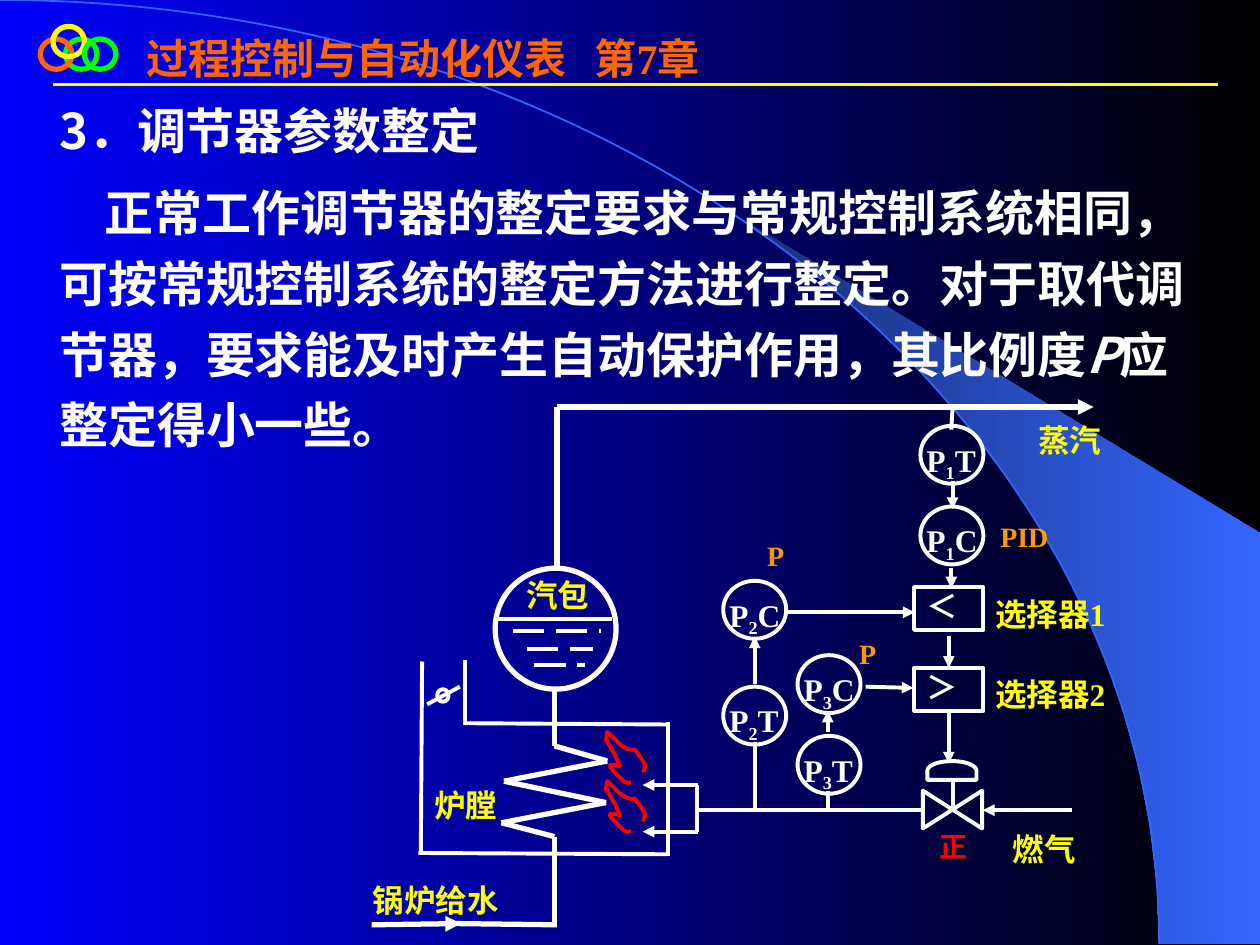
from dataclasses import dataclass
from itertools import pairwise
from math import asin, cos, pi, sin

from lxml.etree import SubElement
from pptx import Presentation
from pptx.dml.color import RGBColor
from pptx.enum.dml import MSO_LINE
from pptx.enum.shapes import MSO_CONNECTOR, MSO_SHAPE
from pptx.enum.text import MSO_ANCHOR, MSO_AUTO_SIZE, PP_ALIGN
from pptx.oxml.ns import qn
from pptx.util import Inches, Pt

WHITE = RGBColor(0xFF, 0xFF, 0xFF)
BLACK = RGBColor(0, 0, 0)
YELLOW = RGBColor(0xFF, 0xFF, 0)
GREEN = RGBColor(0, 0xFF, 0)
RED = RGBColor(0xFF, 0, 0)
ORANGE = RGBColor(0xFF, 0x66, 0)
AMBER = RGBColor(0xFF, 0x99, 0)
BLUE = RGBColor(0, 0, 0xFF)
NAVY = RGBColor(0x18, 0x2F, 0x76)
SKY = RGBColor(0x33, 0x66, 0xFF)
SERIF, SANS = "Times New Roman", "Noto Sans CJK SC"
COLS, ROWS = 100, 75
CELL = Inches(10) / COLS


@dataclass
class Box:
    """A region of the slide, measured in grid cells."""
    slide: object
    col: float
    row: float
    wide: float
    high: float

    def spot(self, x, y):
        return round((self.col + x) * CELL), round((self.row + y) * CELL)

    def frame(self, x, y, w, h):
        return *self.spot(x, y), round(w * CELL), round(h * CELL)


def blend(fill, first, last):
    fill.gradient()
    fill.gradient_angle = 0
    for stop, color in zip(fill.gradient_stops, (first, last)):
        stop.color.rgb = color


def style(para, size, color, face=SERIF):
    font = para.font
    font.size, font.bold, font.name = Pt(size), True, face
    font.color.rgb = color
    SubElement(para._p.pPr.find(qn("a:defRPr")), qn("a:ea"), typeface=SANS)


def wire(box, start, end, width=2.25, color=WHITE, arrow=False, dash=False):
    link = box.slide.shapes.add_connector(
        MSO_CONNECTOR.STRAIGHT, *box.spot(*start), *box.spot(*end))
    link.line.width = Pt(width)
    link.line.color.rgb = color
    if dash:
        link.line.dash_style = MSO_LINE.LONG_DASH
    if arrow:
        SubElement(link.line._get_or_add_ln(), qn("a:tailEnd"), type="triangle")
    SubElement(link._element.spPr, qn("a:effectLst"))


def shape(box, kind, frame, width=2.25, color=WHITE, turn=0):
    item = box.slide.shapes.add_shape(kind, *box.frame(*frame))
    item.shadow.inherit = False
    item.fill.background()
    item.line.width = Pt(width)
    item.line.color.rgb = color
    item.rotation = turn
    return item


def outline(box, points, closed=False):
    first, *rest = [box.spot(*point) for point in points]
    pen = box.slide.shapes.build_freeform(*first, scale=1.0)
    pen.add_line_segments(rest, close=closed)
    item = pen.convert_to_shape()
    item.shadow.inherit = False
    item.fill.background()
    return item


def curve(box, knots, width, color):
    """Draw cubic curves: a start, then three knots for each curve."""
    item = outline(box, knots)
    item.line.width, item.line.color.rgb = Pt(width), color
    track = next(item._element.iter(qn("a:path")))
    steps = track.findall(qn("a:lnTo"))
    for i in range(0, len(steps), 3):
        bend = SubElement(track, qn("a:cubicBezTo"))
        for step in steps[i:i + 3]:
            bend.append(step[0])
            track.remove(step)


def label(box, text, x, y, w, h=4.4, size=18, color=YELLOW):
    frame = box.slide.shapes.add_textbox(*box.frame(x, y, w, h)).text_frame
    frame.word_wrap = True
    para = frame.paragraphs[0]
    para.line_spacing = 1.2
    para.text = text
    style(para, size, color)
    return para


def gauge(box, name, x, y):
    """Draw an instrument circle whose middle character is a subscript."""
    shape(box, MSO_SHAPE.OVAL, (x, y, 5, 4.6))
    para = label(box, "", x - 0.5, y, 6.4, 3.4, color=WHITE)
    for sign in name:
        run = para.add_run()
        run.text = sign
        if sign.isdigit():
            run._r.get_or_add_rPr().set("baseline", "-25000")


def place(box, holder):
    """Fit a placeholder to the box, in front of the backdrop."""
    holder.left, holder.top, holder.width, holder.height = box.frame(
        0, 0, box.wide, box.high)
    box.slide.shapes._spTree.append(holder._element)
    frame = holder.text_frame
    frame.word_wrap = True
    frame.auto_size = MSO_AUTO_SIZE.NONE
    return frame


def backdrop(box):
    blend(box.slide.background.fill, BLUE, BLACK)
    wide, high, start, steps = 0.92 * box.wide, box.high - 0.1, asin(0.64), 14
    turns = [start + (pi / 2 - start) * i / steps for i in range(steps + 1)]
    rim = [(wide * sin(t), high * (1 - cos(t))) for t in turns]
    wing = outline(box, rim + [(box.wide, high), (box.wide, 0.565 * high)], True)
    blend(wing.fill, NAVY, SKY)
    wing.line.fill.background()
    curve(box, [(0, 0), (0.55 * wide, 0), (wide, 0.45 * high), (wide, high)], 1, SKY)


def header(box):
    wire(box, (1, 4.6), (93.5, 4.6), 1.5, YELLOW)
    for x, y, color in ((2, 1, GREEN), (0, 1, ORANGE), (1, 0, YELLOW), (3.5, 1, GREEN)):
        shape(box, MSO_SHAPE.OVAL, (x, y, 2.5, 2.4), 3, color)
    area = Box(box.slide, box.col + 7.4, box.row, 84.2, 5)
    frame = place(area, box.slide.shapes.title)
    frame.vertical_anchor = MSO_ANCHOR.TOP
    para = frame.paragraphs[0]
    para.text = "过程控制与自动化仪表\t第7章"
    tabs = SubElement(para._p.get_or_add_pPr(), qn("a:tabLst"))
    SubElement(tabs, qn("a:tab"), pos=str(Inches(3.56)), algn="l")
    para.alignment = PP_ALIGN.LEFT
    style(para, 24, ORANGE)


def body(box):
    frame = place(box, box.slide.placeholders[1])
    frame.vertical_anchor = MSO_ANCHOR.MIDDLE
    head, main = frame.paragraphs[0], frame.add_paragraph()
    head.text = "3．调节器参数整定"
    for text in ("正常工作调节器的整定要求与常规控制系统相同，可按常规控制系统的整定方法"
                 "进行整定。对于取代调节器，要求能及时产生自动保护作用，其比例度",
                 "P", "应整定得小一些。"):
        run = main.add_run()
        run.text = text
        if text == "P":
            run.font.italic = True
    for para, indent, gap in ((head, 0, 0), (main, Inches(0.36), 7)):
        props = para._p.get_or_add_pPr()
        props.set("marL", "0")
        props.set("indent", str(indent))
        SubElement(props, qn("a:buNone"))
        para.line_spacing, para.space_before = 1.2, Pt(gap)
        style(para, 28, WHITE, SANS)


def flame(box, x, y):
    knots = [(1.9, 4), (1.7, 4), (1.5, 4.1), (1.3, 3.9), (-0.5, 2.2), (0.3, 2.6),
             (1, 2.7), (0.9, 2.5), (0.8, 2.2), (0.7, 2), (0.7, 1.9), (0, 0.8),
             (-0.1, 0.6), (-0.1, 0.4), (0, 0.2), (0, 0), (0.9, 0.8), (1.3, 1.5),
             (2.2, 1.4), (2.5, 1.8), (2.8, 2.2), (3, 2.6), (3.1, 2.8), (2.8, 3),
             (2.9, 3.2)]
    curve(box, [(x + dx, y + dy) for dx, dy in knots], 2.25, RED)


def boiler(box):
    for start, end in (((5.5, 20.5), (5.4, 35.7)), ((25, 25.3), (25, 35.9)),
                       ((5.2, 35.7), (24.9, 35.8)), ((8.8, 25.4), (25, 25.5)),
                       ((8.9, 25.5), (8.9, 20.4)), ((5.9, 23.9), (8.5, 22.5)),
                       ((11.3, 17.1), (20.6, 17.1)), ((27.3, 30.3), (27.3, 34))):
        wire(box, start, end)
    for y in (30.3, 34):
        wire(box, (27.4, y), (23, y), arrow=True)
    for left, right, y in ((12.7, 19.7, 18.1), (13.8, 19.1, 19.5), (14.4, 18.4, 20.8)):
        wire(box, (left, y), (right, y), dash=True)
    coil = [(16, 22.8), (16, 27.2), (20.2, 28.4), (12, 30), (20.1, 31.7),
            (11.8, 33.3), (16, 34.4), (16, 41.3)]
    for start, end in pairwise(coil):
        wire(box, start, end, 3)
    wire(box, (16.2, 41.4), (8.2, 41.3), 3)
    wire(box, (1.5, 41.4), (8.6, 41.3), 3, arrow=True)
    wire(box, (16.2, 13.1), (16.2, 0.3), 3)
    wire(box, (16.2, 0.3), (58.8, 0.3), 3, arrow=True)
    shape(box, MSO_SHAPE.OVAL, (11.3, 13.1, 9.6, 9.6), 3)
    shape(box, MSO_SHAPE.FLOWCHART_CONNECTOR, (6.7, 22.7, 0.9, 1))
    flame(box, 20.2, 26.1)
    flame(box, 20.2, 30)
    label(box, "汽包", 12.8, 12.6, 8.8)
    label(box, "炉膛", 5.5, 29.3, 8)
    label(box, "锅炉给水", 0.6, 36.8, 14.5)


def control(box):
    for start, end in (((-1.5, 32.3), (16.4, 32.3)), ((18.6, 0.4), (18.5, 2.1)),
                       ((8.7, 30.8), (8.7, 32.2)), ((2.9, 32.3), (2.9, 26.9)),
                       ((18.6, 29.9), (18.6, 32.4))):
        wire(box, start, end)
    for start, end in (((28.1, 32.3), (21, 32.3)), ((18.3, 24.6), (18.3, 28.6)),
                       ((18.3, 18.5), (18.3, 21)), ((18.6, 6.2), (18.6, 8.4)),
                       ((18.5, 13.1), (18.5, 14.7)), ((11.7, 22.5), (15.5, 22.6)),
                       ((8.7, 26.1), (8.7, 24.4)), ((2.9, 22.3), (2.9, 18.5)),
                       ((5.3, 16.6), (15.6, 16.6))):
        wire(box, start, end, arrow=True)
    for name, x, y in (("P2C", 0.4, 14.1), ("P2T", 0.4, 22.5), ("P3C", 6.3, 20),
                       ("P3T", 6.3, 26.4), ("P1T", 16.05, 1.8), ("P1C", 16.05, 8.2)):
        gauge(box, name, x, y)
    for sign, y in (("＜", 14.6), ("＞", 21)):
        frame = shape(box, MSO_SHAPE.RECTANGLE, (15.55, y, 5.5, 3.4)).text_frame
        frame.vertical_anchor = MSO_ANCHOR.TOP
        para = frame.paragraphs[0]
        para.text, para.alignment, para.line_spacing = sign, PP_ALIGN.LEFT, 0.85
        style(para, 18, WHITE, SANS)
    shape(box, MSO_SHAPE.FLOWCHART_COLLATE, (17.1, 29.9, 3, 4.7), turn=270)
    shape(box, MSO_SHAPE.FLOWCHART_DELAY, (17.8, 27.2, 1.5, 3.9), turn=270)
    for text, x, y, w in (("燃气", 22.4, 32.8, 8.1), ("蒸汽", 24.4, 0.3, 8.8),
                          ("选择器1", 21, 14.1, 12.6), ("选择器2", 21, 20.5, 13.9)):
        label(box, text, x, y, w)
    for text, x, y, color in (("正", 16.6, 32.8, RED), ("P", 10.2, 17.5, AMBER),
                              ("P", 2.9, 9.7, AMBER), ("PID", 21.4, 8.2, AMBER)):
        label(box, text, x, y, 5.8, 4.2, 16, color)


def main():
    deck = Presentation()
    deck.slide_width, deck.slide_height = Inches(10), Inches(7.5)
    slide = deck.slides.add_slide(deck.slide_layouts[1])
    backdrop(Box(slide, 0, 0, COLS, ROWS))
    header(Box(slide, 3.2, 2.1, 93.5, 5))
    body(Box(slide, 3.7, 6.5, 93.5, 30))
    boiler(Box(slide, 28, 32, 60, 42))
    control(Box(slide, 57, 32, 35, 38))
    deck.save("out.pptx")


if __name__ == "__main__":
    main()
